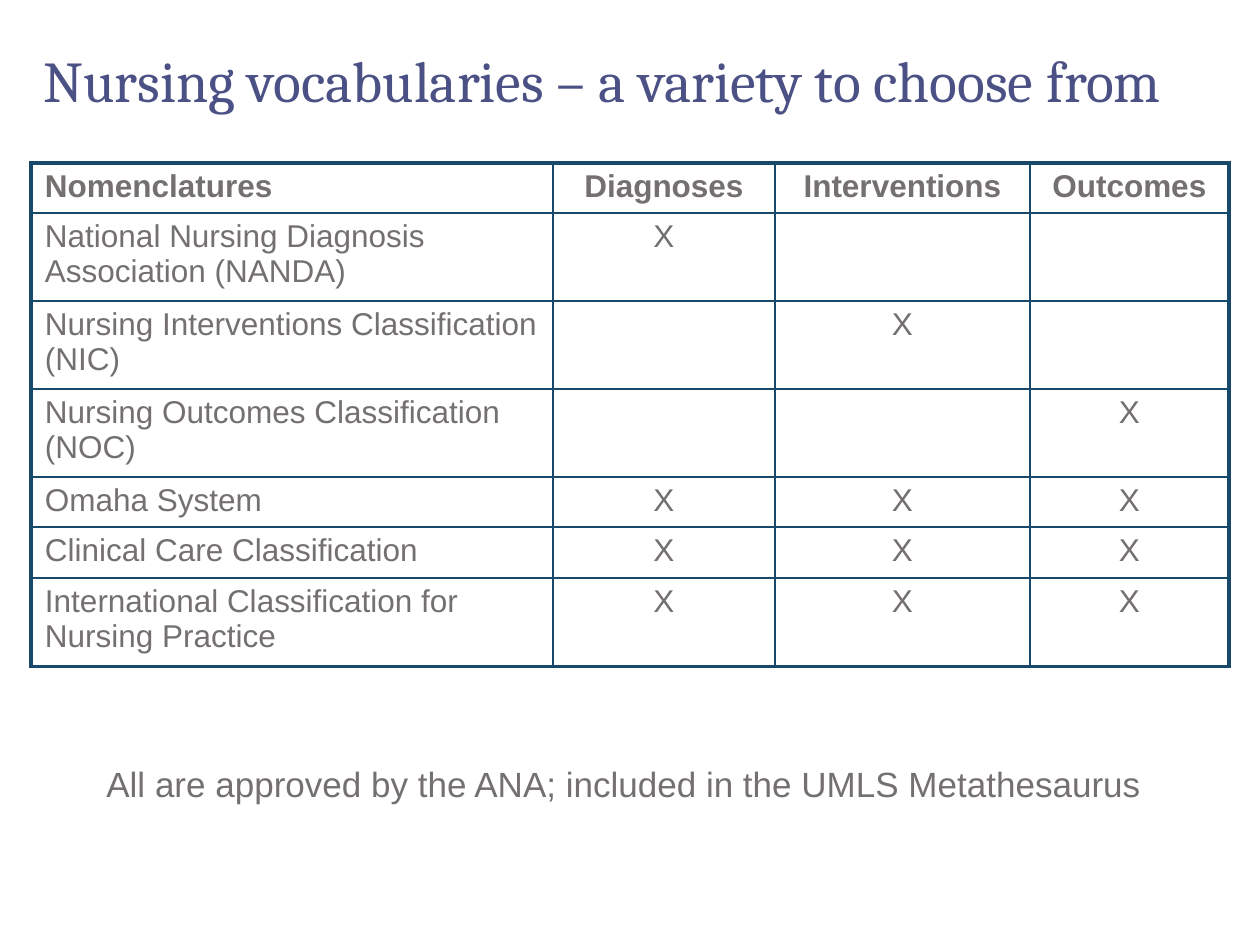
from pptx import Presentation, util as u
from pptx.dml.color import RGBColor
from pptx.enum import text
from pptx.oxml import ns
from lxml import etree

TITLE = "Nursing vocabularies – a variety to choose from"
FOOTNOTE = "All are approved by the ANA; included in the UMLS Metathesaurus"
HEADINGS = ["Nomenclatures", "Diagnoses", "Interventions", "Outcomes"]
VOCABULARIES = [
    ("National Nursing Diagnosis Association (NANDA)", "X", "", ""),
    ("Nursing Interventions Classification (NIC)", "", "X", ""),
    ("Nursing Outcomes Classification (NOC)", "", "", "X"),
    ("Omaha System", "X", "X", "X"),
    ("Clinical Care Classification", "X", "X", "X"),
    ("International Classification for Nursing Practice", "X", "X", "X"),
]
THEME = {
    "title": {"name": "Cambria", "size": 33, "color": "4B5185", "bold": False},
    "heading": {"name": "Arial", "size": 18, "color": "757070", "bold": True},
    "body": {"name": "Arial", "size": 18, "color": "757070", "bold": False},
    "footnote": {"name": "Arial", "size": 20, "color": "757070", "bold": False},
    "border": "18496B",
    "outer_line": 2.25,
    "inner_line": 1,
}
SLIDE_SIZE = (1260, 945)
TITLE_BOX = (31, 21, 1198, 126)
FOOTNOTE_BOX = (94, 756, 1081, 54)
TABLE_ORIGIN = (31, 163)
COLUMN_WIDTHS = [522, 222, 255, 199]
ROW_HEIGHTS = [50, 88, 88, 88, 50, 51, 89]
CELL_FORMAT = {"margin_left": 14, "margin_right": 14, "margin_top": 6, "margin_bottom": 6}


def px(value):
    return u.Emu(round(value * 914400 / 126))


def write(frame, wording, style, **paragraph_format):
    paragraph = frame.paragraphs[0]
    for name, value in paragraph_format.items():
        setattr(paragraph, name, value)
    values = THEME[style]
    run = paragraph.add_run() if wording else None
    font = run.font if run else paragraph.font
    if run:
        run.text = wording
    for name in ("name", "bold"):
        setattr(font, name, values[name])
    font.size = u.Pt(values["size"])
    font.color.rgb = RGBColor.from_string(values["color"])


def add_text(slide, box, wording, style, anchor, **paragraph_format):
    frame = slide.shapes.add_textbox(*map(px, box)).text_frame
    frame.word_wrap = True
    frame.vertical_anchor = anchor
    write(frame, wording, style, **paragraph_format)


def add_borders(cell, outer_sides):
    properties = cell._tc.get_or_add_tcPr()
    for index, side in enumerate("LRTB"):
        width = THEME["outer_line" if side in outer_sides else "inner_line"]
        line = etree.Element(ns.qn(f"a:ln{side}"), w=str(u.Pt(width)))
        fill = etree.SubElement(line, ns.qn("a:solidFill"))
        etree.SubElement(fill, ns.qn("a:srgbClr"), val=THEME["border"])
        properties.insert(index, line)


def add_vocabulary_table(slide):
    rows = [HEADINGS, *VOCABULARIES]
    size = (sum(COLUMN_WIDTHS), sum(ROW_HEIGHTS))
    frame = slide.shapes.add_table(len(rows), len(HEADINGS), *map(px, TABLE_ORIGIN + size))
    table = frame.table
    table.first_row = table.horz_banding = False
    for column, width in zip(table.columns, COLUMN_WIDTHS):
        column.width = px(width)
    for row, height in zip(table.rows, ROW_HEIGHTS):
        row.height = px(height)
    last_row, last_column = len(rows) - 1, len(HEADINGS) - 1
    for r, row in enumerate(rows):
        for c, wording in enumerate(row):
            cell = table.cell(r, c)
            for name, value in CELL_FORMAT.items():
                setattr(cell, name, px(value))
            cell.fill.background()
            write(cell.text_frame, wording, "body" if r else "heading",
                  alignment=text.PP_ALIGN.CENTER if c else text.PP_ALIGN.LEFT,
                  space_before=u.Pt(3.6))
            edges = {"L": c == 0, "R": c == last_column, "T": r == 0, "B": r == last_row}
            add_borders(cell, [side for side, outer in edges.items() if outer])


def main():
    presentation = Presentation()
    presentation.slide_width, presentation.slide_height = map(px, SLIDE_SIZE)
    slide = presentation.slides.add_slide(presentation.slide_layouts[6])
    add_text(slide, TITLE_BOX, TITLE, "title", text.MSO_ANCHOR.MIDDLE, line_spacing=0.9)
    add_vocabulary_table(slide)
    add_text(slide, FOOTNOTE_BOX, FOOTNOTE, "footnote", text.MSO_ANCHOR.TOP, space_before=u.Pt(10))
    presentation.save("out.pptx")


if __name__ == "__main__":
    main()
